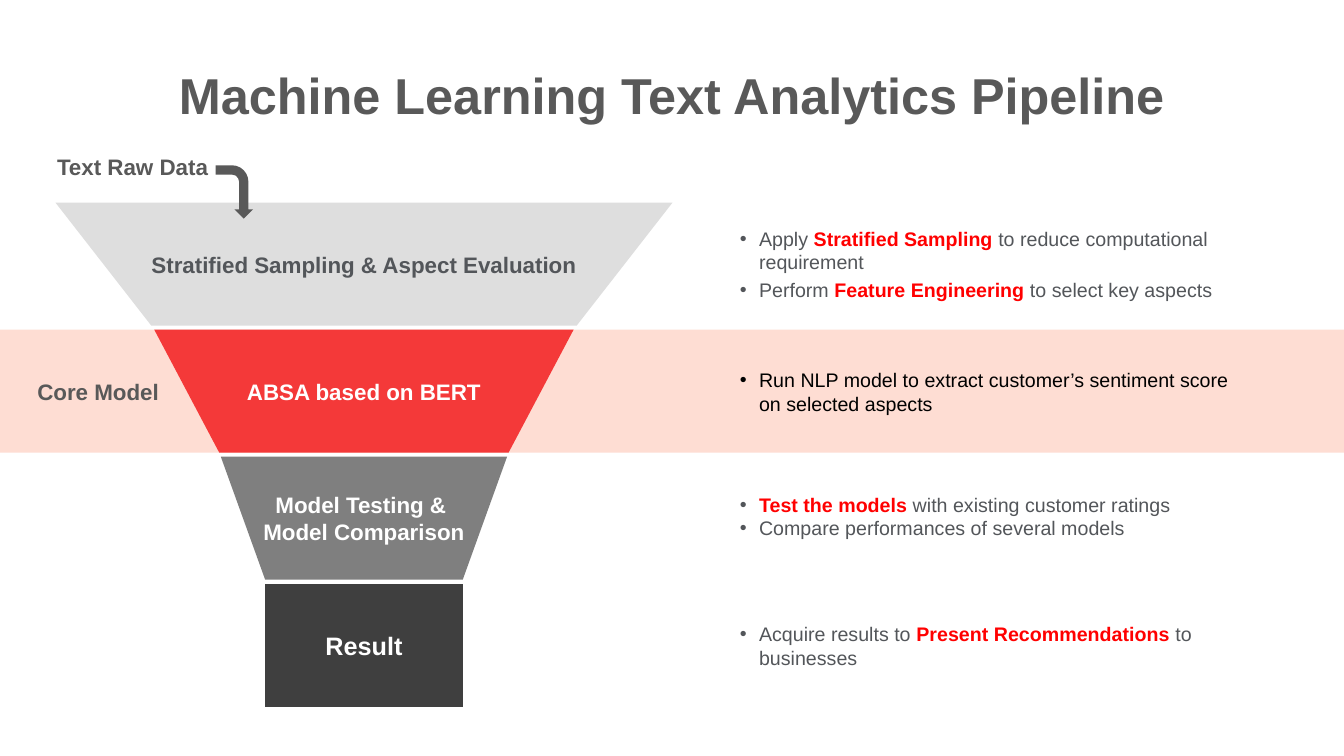
from dataclasses import dataclass
from lxml.etree import SubElement
from pptx import Presentation
from pptx.dml.color import RGBColor as Rgb
from pptx.enum.shapes import MSO_SHAPE as Shape
from pptx.enum.text import MSO_ANCHOR as Anchor, PP_ALIGN as Align
from pptx.oxml.ns import qn
from pptx.util import Inches, Pt


@dataclass(frozen=True)
class Theme:
    font: str = "Arial"
    title: int = 36
    result: int = 18
    label: int = 16
    body: int = 14
    gray: str = "595959"
    slate: str = "53565A"
    white: str = "FFFFFF"
    black: str = "000000"
    accent: str = "FF0000"
    band: str = "FEDDD3"
    light: str = "DEDEDE"
    red: str = "F43939"
    mid: str = "7F7F7F"
    dark: str = "3F3F3F"


class Deck:
    def __init__(self, theme):
        self.theme = theme
        self.deck = Presentation()
        self.deck.slide_width = Inches(13.33)
        self.deck.slide_height = Inches(7.5)
        self.slide = self.deck.slides.add_slide(self.deck.slide_layouts[6])

    def paint(self, shape, color):
        shape.shadow.inherit = False
        shape.fill.solid()
        shape.fill.fore_color.rgb = Rgb.from_string(color)
        shape.line.fill.background()

    def style(self, font, size, color, bold):
        font.name = self.theme.font
        font.size = Pt(size)
        font.bold = bold
        font.color.rgb = Rgb.from_string(color)

    def frame(self, shape, pad, anchor):
        frame = shape.text_frame
        frame.word_wrap = True
        frame.vertical_anchor = anchor
        frame.margin_left = frame.margin_right = Inches(pad[0])
        frame.margin_top = frame.margin_bottom = Inches(pad[1])
        return frame

    def put(self, frame, text, size, color, align):
        frame.text = text
        for para in frame.paragraphs:
            para.alignment = align
            for run in para.runs:
                self.style(run.font, size, color, True)

    def block(self, kind, box, color, turn=0):
        shape = self.slide.shapes.add_shape(kind, *map(Inches, box))
        shape.rotation = turn
        self.paint(shape, color)
        return shape

    def label(self, text, box, size, pad, align=Align.CENTER, anchor=Anchor.TOP):
        shape = self.slide.shapes.add_textbox(*map(Inches, box))
        frame = self.frame(shape, pad, anchor)
        self.put(frame, text, size, self.theme.gray, align)

    def stage(self, text, mid, top, high, wide, base, fill, color, size):
        low = top + high
        points = [(mid - base / 2, low), (mid + base / 2, low), (mid + wide / 2, top)]
        form = self.slide.shapes.build_freeform(Inches(mid - wide / 2), Inches(top))
        form.add_line_segments([(Inches(x), Inches(y)) for x, y in points], close=True)
        shape = form.convert_to_shape()
        self.paint(shape, fill)
        frame = self.frame(shape, (0, 0), Anchor.MIDDLE)
        self.put(frame, text, size, color, Align.CENTER)

    def bullet(self, para, color):
        props = para._p.get_or_add_pPr()
        props.set("marL", str(Inches(0.19)))
        props.set("indent", str(-Inches(0.19)))
        tint = SubElement(props, qn("a:buClr"))
        SubElement(tint, qn("a:srgbClr")).set("val", color)
        SubElement(props, qn("a:buFont")).set("typeface", self.theme.font)
        SubElement(props, qn("a:buChar")).set("char", "•")

    def notes(self, items, top, high, color, gap):
        box = (7.24, top, 5.27, high)
        shape = self.slide.shapes.add_textbox(*map(Inches, box))
        frame = self.frame(shape, (0.1, 0.05), Anchor.MIDDLE)
        for row, item in enumerate(items):
            para = frame.add_paragraph() if row else frame.paragraphs[0]
            self.bullet(para, color)
            if row and gap:
                para.space_before = Pt(gap)
            for part, text in enumerate(item.split("*")):
                if text:
                    run = para.add_run()
                    run.text = text
                    strong = part % 2 == 1
                    tint = self.theme.accent if strong else color
                    self.style(run.font, self.theme.body, tint, strong)


def main():
    look = Theme()
    deck = Deck(look)
    start, high, step, mid = 2.01, 1.22, 1.26, 3.61
    deck.block(Shape.RECTANGLE, (0, start + step, 13.33, high), look.band)
    deck.label("Machine Learning Text Analytics Pipeline", (1.69, 0.59, 9.95, 0.71),
               look.title, (0.05, 0.05))
    deck.label("Text Raw Data", (0.4, 1.47, 1.83, 0.37), look.label, (0.1, 0.05))

    stages = [
        ("Stratified Sampling & Aspect Evaluation", 6.12, 4.22,
         look.light, look.slate, look.label),
        ("ABSA based on BERT", 4.16, 2.87, look.red, look.white, look.label),
        ("Model Testing & \nModel Comparison", 2.84, 1.96,
         look.mid, look.white, look.label),
        ("Result", 1.97, 1.97, look.dark, look.white, look.result),
    ]
    for row, (text, wide, base, fill, color, size) in enumerate(stages):
        deck.stage(text, mid, start + row * step, high, wide, base, fill, color, size)

    notes = [
        (["Apply *Stratified Sampling* to reduce computational requirement",
          "Perform *Feature Engineering* to select key aspects"],
         1.87, 1.5, look.slate, 2.8),
        (["Run NLP model to extract customer’s sentiment score on selected aspects"],
         3.39, 0.99, look.black, 0),
        (["*Test the models* with existing customer ratings",
          "Compare performances of several models"],
         4.53, 1.18, look.slate, 0),
        (["Acquire results to *Present Recommendations* to businesses"],
         5.85, 1.11, look.slate, 0),
    ]
    for note in notes:
        deck.notes(*note)

    deck.label("Core Model", (0.31, 3.69, 1.38, 0.38), look.label, (0.06, 0.06),
               Align.LEFT, Anchor.MIDDLE)
    arrow = deck.block(Shape.BENT_ARROW, (2.06, 1.72, 0.53, 0.37), look.gray, 90)
    for spot, value in enumerate((0.25, 0.25, 0.25, 0.44)):
        arrow.adjustments[spot] = value
    deck.deck.save("out.pptx")


if __name__ == "__main__":
    main()
